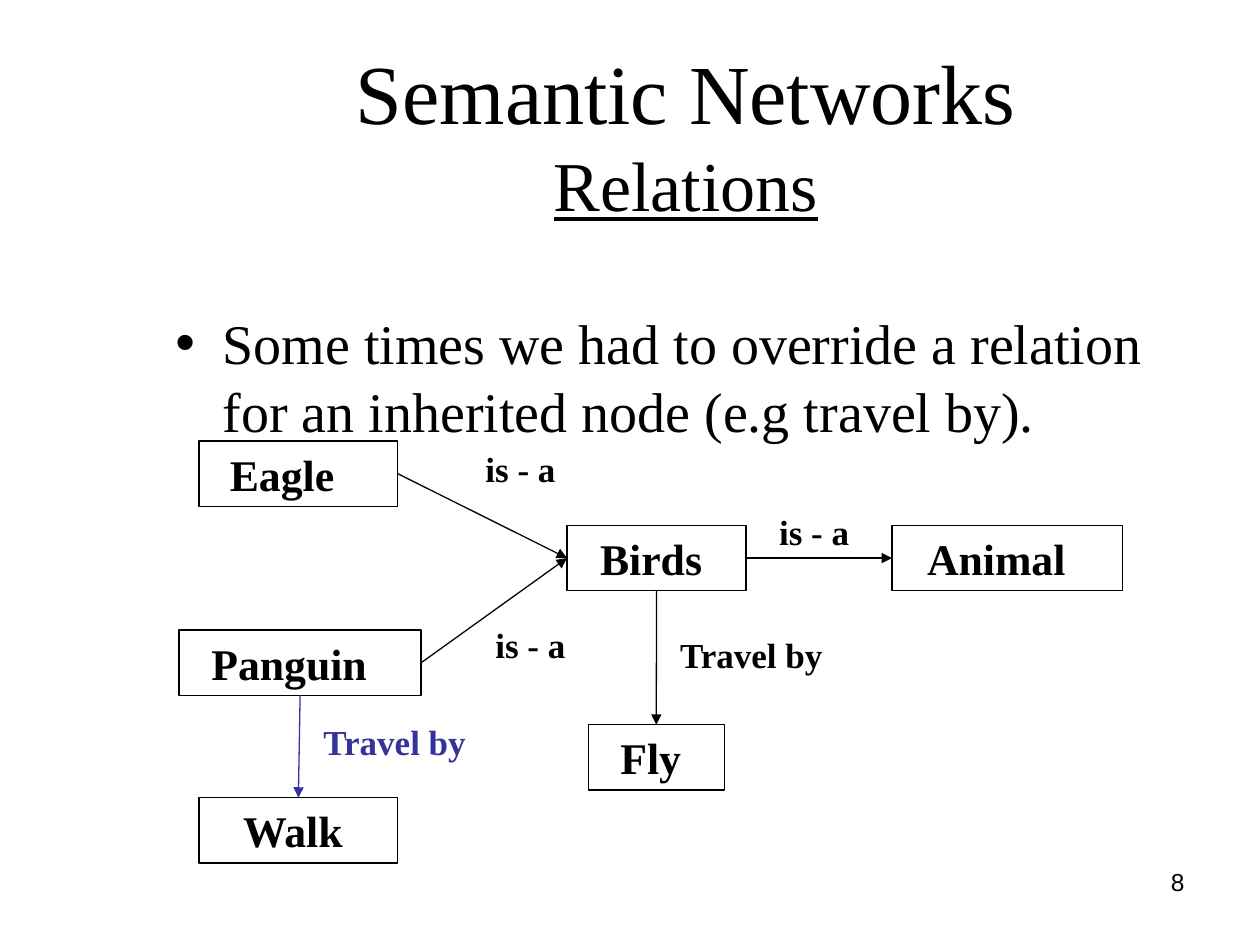
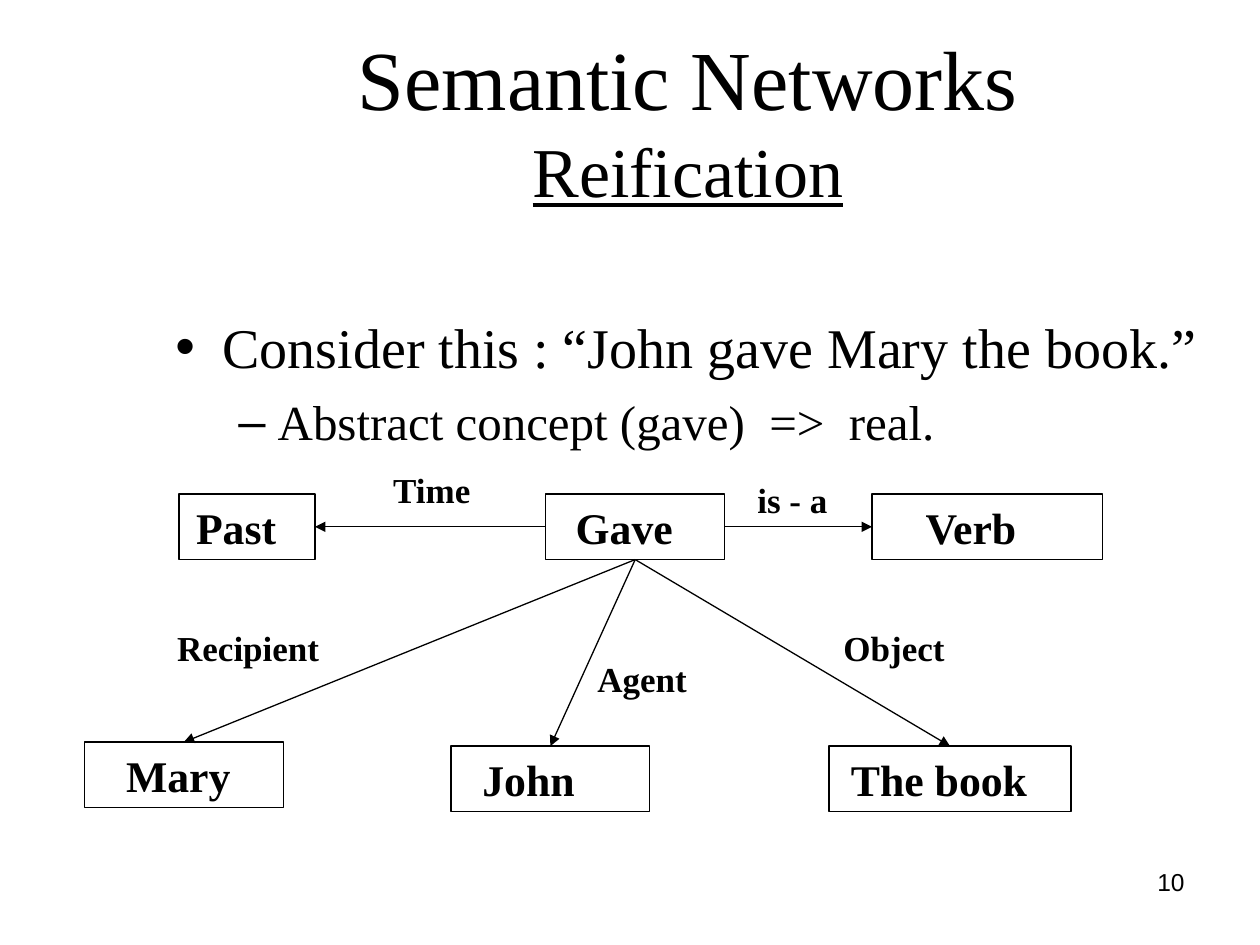
from pptx import Presentation
from pptx.dml.color import RGBColor
from pptx.enum.shapes import MSO_CONNECTOR, MSO_SHAPE
from pptx.enum.text import MSO_ANCHOR, MSO_AUTO_SIZE, PP_ALIGN
from pptx.oxml.ns import qn
from pptx.util import Cm, Pt
from lxml import etree

RECT, LINE = MSO_SHAPE.RECTANGLE, MSO_CONNECTOR.STRAIGHT
CENTER, RIGHT = PP_ALIGN.CENTER, PP_ALIGN.RIGHT
MIDDLE, TOP = MSO_ANCHOR.MIDDLE, MSO_ANCHOR.TOP
FIXED = MSO_AUTO_SIZE.NONE

SERIF, SANS = "Times New Roman", "Arial"
BLACK, BLUE = "000000", "333399"
NODE_H, LABEL_W, LABEL_H = 1.32, 3.61, 1.12
INSET, SPACE = 0.25, 0.22
SIDES = {"top": 0, "left": 1, "bottom": 2, "right": 3}


def color(code):
    return RGBColor.from_string(code)


def place(shape, box):
    shape.left, shape.top, shape.width, shape.height = map(Cm, box)


def write(para, text, size, bold=False, under=None, ink=BLACK, face=SERIF):
    run = para.add_run()
    run.text = text
    font = run.font
    font.name, font.size = face, Pt(size)
    font.bold, font.underline = bold, under
    font.color.rgb = color(ink)


def note(slide, box, text, size, align=CENTER, **style):
    frame = slide.shapes.add_textbox(*map(Cm, box)).text_frame
    frame.word_wrap = True
    para = frame.paragraphs[0]
    para.alignment = align
    write(para, text, size, **style)


def title(slide, box, topic):
    shape = slide.shapes.title
    place(shape, box)
    frame = shape.text_frame
    frame.auto_size, frame.vertical_anchor = FIXED, MIDDLE
    para = frame.paragraphs[0]
    para.alignment = CENTER
    write(para, "Semantic Networks", 48)
    para.add_line_break()
    write(para, topic, 40, under=True)


def points(slide, box, lines):
    """Fill the body with lines, each one level deeper than the last."""
    shape = slide.placeholders[1]
    place(shape, box)
    frame = shape.text_frame
    frame.auto_size, frame.vertical_anchor = FIXED, TOP
    for level, text in enumerate(lines):
        para = frame.add_paragraph() if level else frame.paragraphs[0]
        para.level = level
        para.space_before = Pt(8 - level)
        write(para, text, 32 - 4 * level)


def node(slide, box, text, shift):
    """Draw a framed word, moved left of centre by half of shift spaces."""
    shape = slide.shapes.add_shape(RECT, *map(Cm, box))
    shape.shadow.inherit = False
    shape.fill.background()
    shape.line.color.rgb = color(BLACK)
    shape.line.width = Pt(0.75)
    frame = shape.text_frame
    frame.word_wrap = True
    frame.margin_right = Cm(INSET + shift * SPACE)
    para = frame.paragraphs[0]
    para.alignment = CENTER
    write(para, text, 25, bold=True)
    return shape


def arrow(slide, start, out, end, into, ink=BLACK):
    link = slide.shapes.add_connector(LINE, 0, 0, 0, 0)
    link.begin_connect(start, SIDES[out])
    link.end_connect(end, SIDES[into])
    link.line.color.rgb = color(ink)
    link.line.width = Pt(0.75)
    tip = etree.SubElement(link.line._get_or_add_ln(), qn("a:tailEnd"))
    tip.set("type", "triangle")
    etree.SubElement(link._element.spPr, qn("a:effectLst"))


def net(slide, left, top, nodes, labels, links):
    """Draw a network; all positions count from its left top corner."""
    made = {}
    for text, x, y, width, shift in nodes:
        box = left + x, top + y, width, NODE_H
        made[text] = node(slide, box, text, shift)
    for text, x, y, *ink in labels:
        box = left + x, top + y, LABEL_W, LABEL_H
        note(slide, box, text, 20, bold=True, ink=ink[0] if ink else BLACK)
    for start, out, end, into, *ink in links:
        arrow(slide, made[start], out, made[end], into, *ink)


def page(deck, number, topic, head, body, lines):
    slide = deck.slides.add_slide(deck.slide_layouts[1])
    title(slide, head, topic)
    points(slide, body, lines)
    note(slide, (18.21, 17.35, 5.92, 1.32), number, 14, RIGHT, face=SANS)
    return slide


def birds(deck):
    slide = page(
        deck, "8", "Relations",
        (3.2, 0.69, 21.26, 3.99), (3.28, 6.1, 21.59, 3.15),
        ["Some times we had to override a relation for an inherited node "
         "(e.g travel by)."])
    net(slide, 3.61, 8.89,
        [("Eagle", 0.4, 0, 4.01, 3),
         ("Panguin", 0, 3.81, 4.88, 2),
         ("Walk", 0.4, 7.19, 4.01, 1),
         ("Birds", 7.82, 1.7, 3.61, 1),
         ("Animal", 14.37, 1.7, 4.65, 2),
         ("Fly", 8.25, 5.72, 2.74, 1)],
        [("is - a", 11, 1.27),
         ("is - a", 5.08, 0),
         ("is - a", 5.28, 3.56),
         ("Travel by", 9.73, 3.76),
         ("Travel by", 2.54, 5.51, BLUE)],
        [("Birds", "right", "Animal", "left"),
         ("Eagle", "right", "Birds", "left"),
         ("Panguin", "right", "Birds", "left"),
         ("Birds", "bottom", "Fly", "top"),
         ("Panguin", "bottom", "Walk", "top", BLUE)])


def gift(deck):
    slide = page(
        deck, "10", "Reification",
        (3.61, 0.36, 20.52, 4.09), (3.28, 6.17, 21.59, 3.07),
        ["Consider this : “John gave Mary the book.”",
         "Abstract concept (gave)  =>  real."])
    net(slide, 1.7, 9.32,
        [("Past", 1.91, 0.64, 2.74, 2),
         ("Gave", 9.3, 0.64, 3.61, 2),
         ("Verb", 15.88, 0.64, 4.65, 3),
         ("Mary", 0, 5.64, 4.01, 1),
         ("John", 7.39, 5.72, 4.01, 4),
         ("The book", 15.01, 5.72, 4.88, 2)],
        [("is - a", 12.47, 0.21),
         ("Time", 5.2, 0),
         ("Agent", 9.44, 3.81),
         ("Object", 14.52, 3.18),
         ("Recipient", 1.5, 3.18)],
        [("Gave", "right", "Verb", "left"),
         ("Gave", "left", "Past", "right"),
         *(("Gave", "bottom", end, "top")
           for end in ("Mary", "John", "The book"))])


def main():
    deck = Presentation()
    deck.slide_width, deck.slide_height = Cm(25.4), Cm(19.05)
    birds(deck)
    gift(deck)
    deck.save("out.pptx")


if __name__ == "__main__":
    main()
